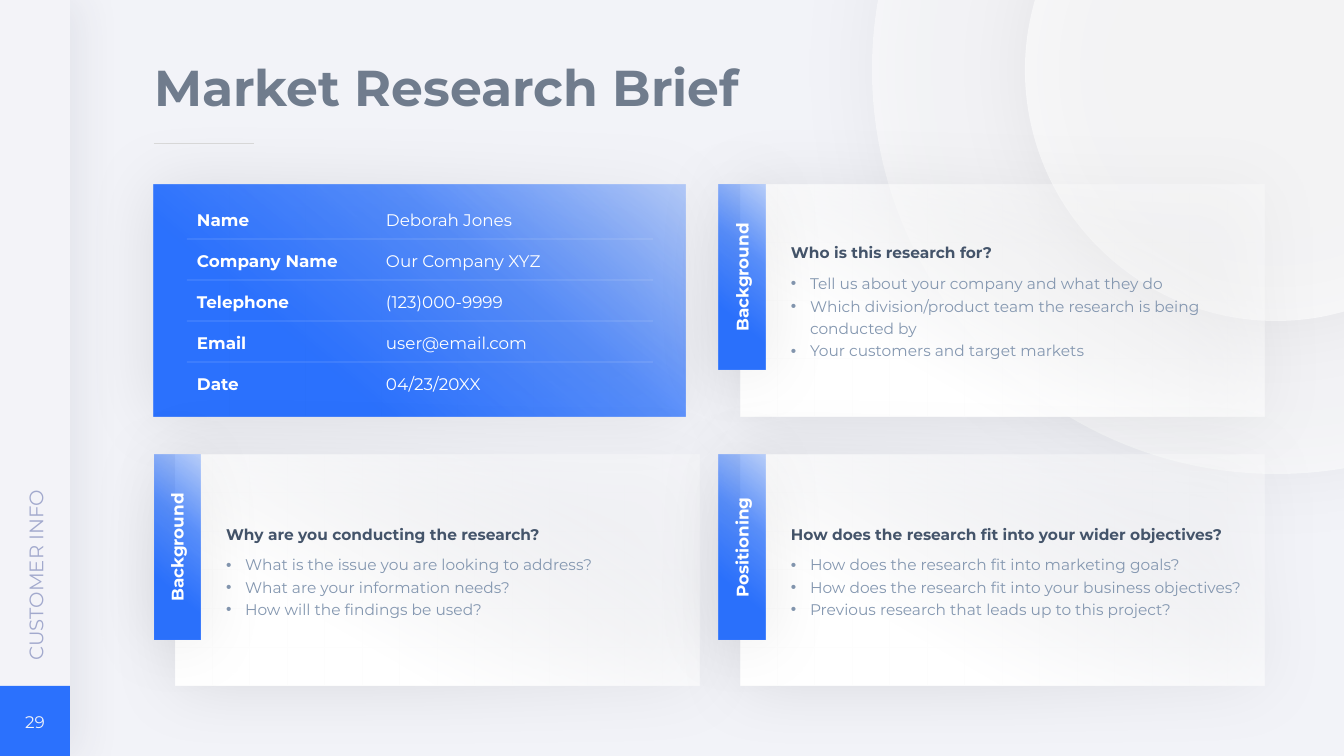
from dataclasses import dataclass
from lxml.etree import SubElement as Sub
from pptx import Presentation
from pptx.dml.color import RGBColor as Rgb
from pptx.enum.shapes import MSO_CONNECTOR as Link, MSO_SHAPE as Kind
from pptx.enum.text import MSO_ANCHOR as Anchor, PP_ALIGN as Align
from pptx.oxml import parse_xml
from pptx.oxml.ns import nsdecls, qn
from pptx.util import Pt

PX = 914400 / 100.8


@dataclass(frozen=True)
class Theme:
    font: str = "Montserrat"
    back: str = "F2F3F8"
    band: str = "F3F3F8"
    blue: str = "2B71FD"
    white: str = "FFFFFF"
    black: str = "000000"
    navy: str = "2B3150"
    head: str = "707C8D"
    rule: str = "D9D9D9"
    side: str = "A2A9CD"
    dark: str = "44546A"
    soft: str = "8497B0"
    title: int = 36
    label: int = 14
    base: int = 12
    small: int = 11


T = Theme()
BLUE_FADE = [(0, T.blue, 30), (36, T.blue, 76), (72, T.blue, 100)], 130
WHITE_FADE = [(23, T.white, 34), (72, T.white, 100)], 120
INFO = [
    ("Name", "Deborah Jones"),
    ("Company Name", "Our Company XYZ"),
    ("Telephone", "(123)000-9999"),
    ("Email", "user@email.com"),
    ("Date", "04/23/20XX"),
]
CARDS = [
    (719, 185, "Background", "Who is this research for?", [
        "Tell us about your company and what they do",
        "Which division/product team the research is being conducted by",
        "Your customers and target markets"]),
    (154, 455, "Background", "Why are you conducting the research?", [
        "What is the issue you are looking to address?",
        "What are your information needs?",
        "How will the findings be used?"]),
    (719, 455, "Positioning",
     "How does the research fit into your wider objectives?", [
         "How does the research fit into marketing goals?",
         "How does the research fit into your business objectives?",
         "Previous research that leads up to this project?"]),
]


def px(*nums):
    return [round(n * PX) for n in nums]


def tint(hue, alpha):
    return f'<a:srgbClr val="{hue}"><a:alpha val="{alpha * 1000}"/></a:srgbClr>'


def solid(hue, alpha=100):
    return f'<a:solidFill {nsdecls("a")}>{tint(hue, alpha)}</a:solidFill>'


def fade(stops, angle):
    marks = "".join(f'<a:gs pos="{at * 1000}">{tint(hue, alpha)}</a:gs>'
                    for at, hue, alpha in stops)
    return (f'<a:gradFill {nsdecls("a")} rotWithShape="1"><a:gsLst>{marks}</a:gsLst>'
            f'<a:lin ang="{angle * 60000}" scaled="0"/></a:gradFill>')


def shade(shape, hue, alpha, blur, dist=0):
    shape.shadow.inherit = False
    glow = shape._element.spPr.find(qn("a:effectLst"))
    glow.append(parse_xml(
        f'<a:outerShdw {nsdecls("a")} blurRad="{Pt(blur)}" dist="{Pt(dist)}" dir="0" '
        f'algn="ctr" rotWithShape="0">{tint(hue, alpha)}</a:outerShdw>'))


def block(slide, box, paint, kind=Kind.RECTANGLE):
    shape = slide.shapes.add_shape(kind, *px(*box))
    shape._element.spPr.find(qn("a:prstGeom")).addnext(parse_xml(paint))
    shape.line.fill.background()
    shape.shadow.inherit = False
    return shape


def rule(slide, x, y, wide, hue, alpha=100):
    line = slide.shapes.add_connector(Link.STRAIGHT, *px(x, y, x + wide, y))
    line.line.width = Pt(0.5)
    line.line.color.rgb = Rgb.from_string(hue)
    props = line._element.spPr
    if alpha < 100:
        mark = next(props.iter(qn("a:srgbClr")))
        Sub(mark, qn("a:alpha"), val=str(alpha * 1000))
    Sub(props, qn("a:effectLst"))


def inset(frame, left, top, right, low):
    (frame.margin_left, frame.margin_top,
     frame.margin_right, frame.margin_bottom) = px(left, top, right, low)


def style(para, size, hue, bold=False, align=Align.LEFT):
    para.alignment = align
    for run in para.runs:
        run.font.name = T.font
        run.font.size = Pt(size)
        run.font.bold = bold
        run.font.color.rgb = Rgb.from_string(hue)


def label(slide, box, text, size, hue, bold=False, align=Align.LEFT,
          pad=(10, 5, 10, 5)):
    shape = slide.shapes.add_textbox(*px(*box))
    frame = shape.text_frame
    frame.word_wrap = True
    frame.vertical_anchor = Anchor.MIDDLE
    inset(frame, *pad)
    frame.text = text
    style(frame.paragraphs[0], size, hue, bold, align)
    return shape


def rings(slide):
    for box, alpha in [((872, -335, 809, 809), 50), ((1025, -181, 502, 502), 60)]:
        ring = block(slide, box, solid(T.white, alpha), Kind.OVAL)
        shade(ring, T.black, 10, 60)


def sidebar(slide, wide, high):
    shade(block(slide, (0, 0, wide, high), solid(T.band)), T.navy, 7, 30, 7)
    block(slide, (0, high - wide, wide, wide), solid(T.blue))
    label(slide, (10, high - 51, wide - 20, 33), "29", T.base, T.back,
          align=Align.CENTER, pad=(0, 0, 0, 0))
    name = label(slide, (-156, 449, 383, 41), "CUSTOMER INFO", T.label, T.side,
                 pad=(0, 5, 0, 5))
    name.rotation = 270


def heading(slide, x, y):
    title = slide.shapes.title
    title.left, title.top, title.width, title.height = px(x, y, 739, 84)
    frame = title.text_frame
    frame.word_wrap = True
    frame.vertical_anchor = Anchor.TOP
    inset(frame, 0, 5, 0, 5)
    frame.text = "Market Research Brief"
    para = frame.paragraphs[0]
    para.line_spacing = 0.9
    style(para, T.title, T.head, True)
    rule(slide, x, y + 85, 100, T.rule)


def info(slide, x, y):
    shade(block(slide, (x, y, 532, 231), fade(*BLUE_FADE)), T.black, 10, 50)
    for i, (name, value) in enumerate(INFO):
        top = y + 17 + 41 * i
        label(slide, (x + 33, top, 180, 35), name, T.base, T.white, True)
        label(slide, (x + 222, top, 200, 35), value, T.base, T.white)
        if i:
            rule(slide, x + 33, top - 4, 466, T.white, 25)


def bullet(para):
    props = para._p.get_or_add_pPr()
    props.set("marL", str(px(19)[0]))
    props.set("indent", str(px(-19)[0]))
    Sub(props, qn("a:buFont"), typeface="Arial")
    Sub(props, qn("a:buChar"), char="•")


def card(slide, x, y, tag, ask, points):
    body = block(slide, (x + 22, y, 523, 231), fade(*WHITE_FADE))
    shade(body, T.black, 10, 50)
    frame = body.text_frame
    frame.word_wrap = True
    frame.vertical_anchor = Anchor.MIDDLE
    inset(frame, 50, 20, 20, 20)
    frame.text = "\n".join([ask, *points])
    first, *rest = frame.paragraphs
    first.line_spacing = Pt(15)
    first.space_after = Pt(6)
    style(first, T.small, T.dark, True)
    for para in rest:
        bullet(para)
        para.line_spacing = Pt(16)
        style(para, T.small, T.soft)

    tab = block(slide, (x, y, 46, 185), fade(*BLUE_FADE))
    shade(tab, T.black, 10, 50)
    frame = tab.text_frame
    frame.vertical_anchor = Anchor.MIDDLE
    frame.text = tag
    frame._txBody.bodyPr.set("vert", "vert270")
    style(frame.paragraphs[0], T.base, T.white, True, Align.CENTER)


def main():
    deck = Presentation()
    deck.slide_width, deck.slide_height = px(1344, 756)
    slide = deck.slides.add_slide(deck.slide_layouts[5])
    paper = slide.background.fill
    paper.solid()
    paper.fore_color.rgb = Rgb.from_string(T.back)
    rings(slide)
    sidebar(slide, 70, 756)
    heading(slide, 154, 58)
    info(slide, 154, 185)
    for item in CARDS:
        card(slide, *item)
    deck.save("out.pptx")


if __name__ == "__main__":
    main()
